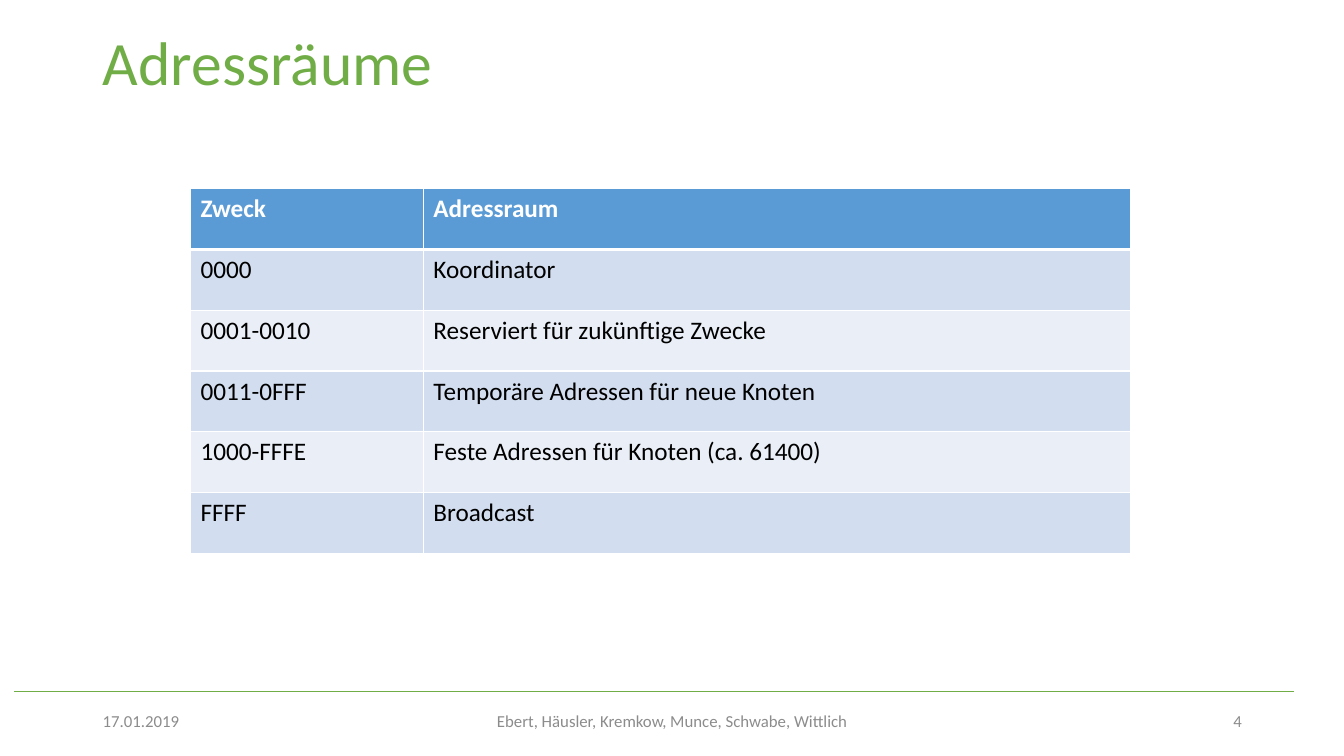
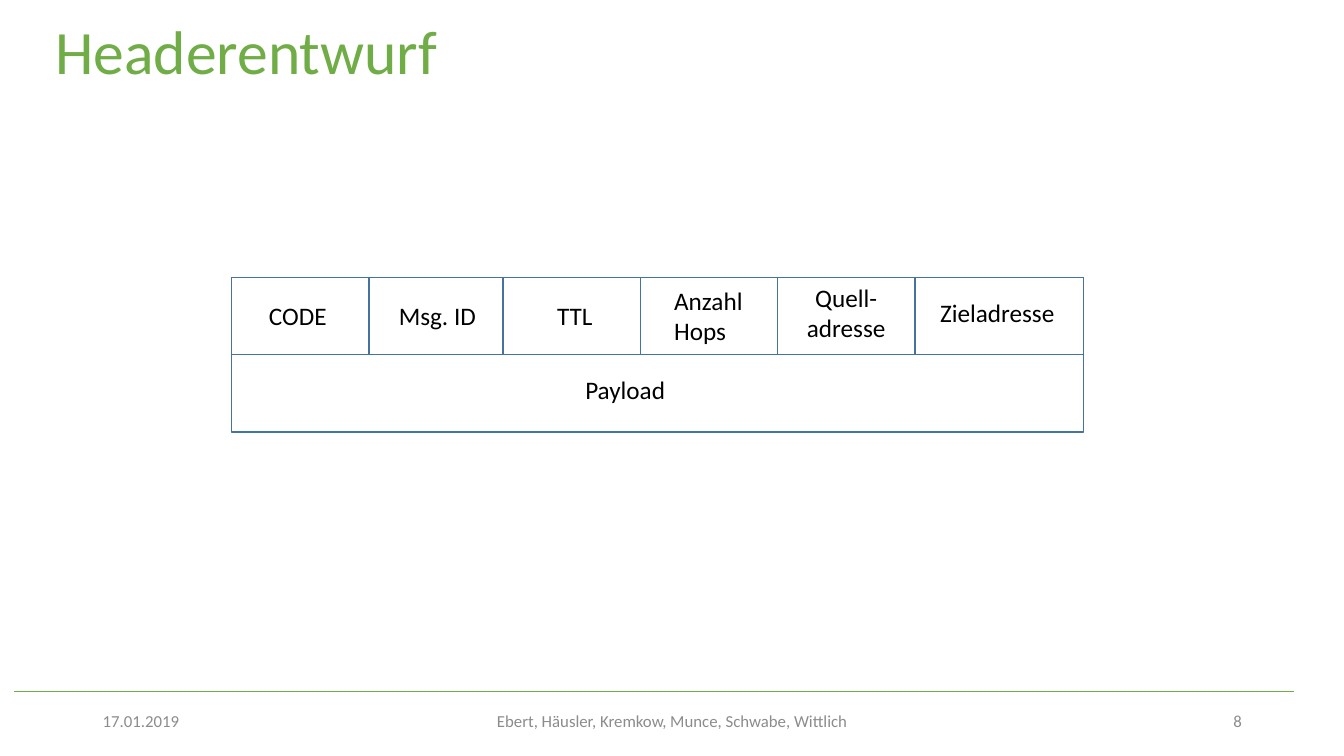
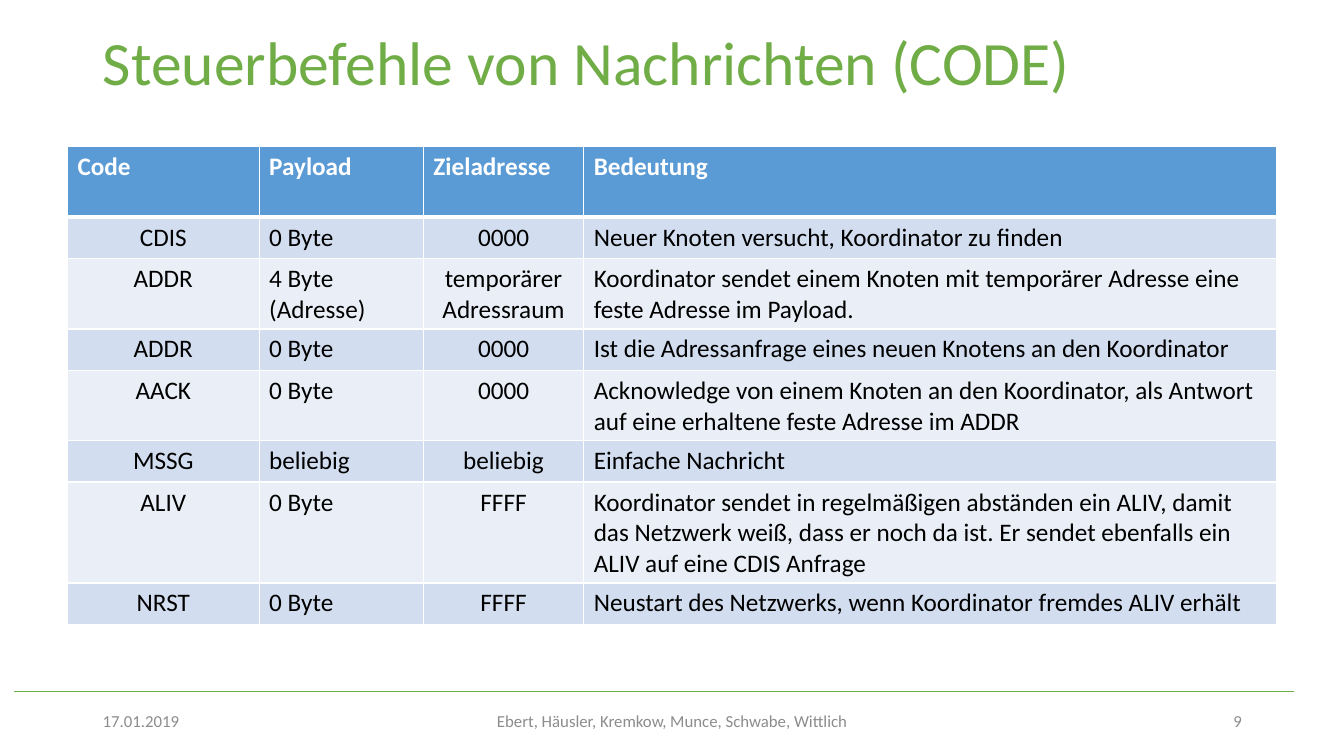
from dataclasses import dataclass
from itertools import accumulate

from lxml.etree import SubElement
from pptx import Presentation
from pptx.dml.color import RGBColor
from pptx.enum.shapes import MSO_CONNECTOR, MSO_SHAPE
from pptx.enum.text import MSO_ANCHOR, MSO_AUTO_SIZE, PP_ALIGN
from pptx.oxml.ns import qn
from pptx.presentation import Presentation as Deck
from pptx.slide import Slide
from pptx.table import _Cell as Cell
from pptx.text.text import TextFrame
from pptx.util import Cm, Pt

FONT = "Calibri"
COLORS = {
    "accent": "70AD47",
    "footer": "8C8C8C",
    "text": "000000",
    "white": "FFFFFF",
    "header": "5B9BD5",
    "odd_row": "D2DEEF",
    "even_row": "EAEFF7",
    "outline": "43739E",
}
LEFT, CENTER, RIGHT = PP_ALIGN.LEFT, PP_ALIGN.CENTER, PP_ALIGN.RIGHT
DATE = "17.01.2019"
AUTHORS = "Ebert, Häusler, Kremkow, Munce, Schwabe, Wittlich"


@dataclass(frozen=True)
class Box:
    left: float
    top: float
    width: float
    height: float

    def lengths(self) -> tuple[Cm, Cm, Cm, Cm]:
        return Cm(self.left), Cm(self.top), Cm(self.width), Cm(self.height)


@dataclass(frozen=True)
class Label:
    text: str
    box: Box
    align: PP_ALIGN = LEFT


@dataclass(frozen=True)
class Column:
    width: float
    align: PP_ALIGN = LEFT


@dataclass(frozen=True)
class TableLayout:
    left: float
    top: float
    header_height: float
    row_height: float
    columns: tuple[Column, ...]


TITLE_BOX = Box(2.34, 0.69, 29.21, 3.68)
HEADER_TITLE_BOX = Box(1.14, 0.41, 29.21, 3.68)

ADDRESS_LAYOUT = TableLayout(4.8, 4.76, 1.53, 1.53, (Column(5.87), Column(17.83)))
ADDRESS_ROWS = (
    ("Zweck", "Adressraum"),
    ("0000", "Koordinator"),
    ("0001-0010", "Reserviert für zukünftige Zwecke"),
    ("0011-0FFF", "Temporäre Adressen für neue Knoten"),
    ("1000-FFFE", "Feste Adressen für Knoten (ca. 61400)"),
    ("FFFF", "Broadcast"),
)

CODE_LAYOUT = TableLayout(
    1.7, 3.69, 1.78, 1.04,
    (Column(4.83, CENTER), Column(4.14), Column(4.04, CENTER), Column(17.45)),
)
CODE_ROWS = (
    ("Code", "Payload", "Zieladresse", "Bedeutung"),
    ("CDIS", "0 Byte", "0000", "Neuer Knoten versucht, Koordinator zu finden"),
    ("ADDR", "4 Byte (Adresse)", "temporärer Adressraum",
     "Koordinator sendet einem Knoten mit temporärer Adresse eine\n"
     "feste Adresse im Payload."),
    ("ADDR", "0 Byte", "0000",
     "Ist die Adressanfrage eines neuen Knotens an den Koordinator"),
    ("AACK", "0 Byte", "0000",
     "Acknowledge von einem Knoten an den Koordinator, als Antwort "
     "auf eine erhaltene feste Adresse im ADDR"),
    ("MSSG", "beliebig", "beliebig", "Einfache Nachricht"),
    ("ALIV", "0 Byte", "FFFF",
     "Koordinator sendet in regelmäßigen abständen ein ALIV, damit "
     "das Netzwerk weiß, dass er noch da ist. Er sendet ebenfalls ein "
     "ALIV auf eine CDIS Anfrage"),
    ("NRST", "0 Byte", "FFFF",
     "Neustart des Netzwerks, wenn Koordinator fremdes ALIV erhält"),
)

PACKET = Box(5.84, 6.99, 21.46, 3.9)
FIELD_HEIGHT = PACKET.height / 2
FIELD_WIDTHS = (3.46, 3.38, 3.46, 3.46, 3.46, 4.24)
PACKET_LABELS = (
    Label("CODE", Box(6.53, 7.44, 1.98, 1.02)),
    Label("Msg. ID", Box(9.8, 7.44, 2.49, 1.02)),
    Label("TTL", Box(13.79, 7.44, 1.42, 1.02)),
    Label("Anzahl\nHops", Box(16.74, 7.06, 2.26, 1.8)),
    Label("Quell-\vadresse", Box(20.07, 6.99, 2.51, 1.8), CENTER),
    Label("Zieladresse", Box(23.44, 7.37, 3.43, 1.02)),
    Label("Payload", Box(14.5, 9.32, 2.54, 1.02)),
)


def rgb(name: str) -> RGBColor:
    return RGBColor.from_string(COLORS[name])


def write(frame: TextFrame, text: str, size: float, color: str,
          align: PP_ALIGN = LEFT, bold: bool = False) -> None:
    frame.text = text
    for paragraph in frame.paragraphs:
        paragraph.alignment = align
        for run in paragraph.runs:
            run.font.name = FONT
            run.font.size = Pt(size)
            run.font.bold = bold
            run.font.color.rgb = rgb(color)


def add_footer(slide: Slide, number: int) -> None:
    rule = slide.shapes.add_connector(
        MSO_CONNECTOR.STRAIGHT, Cm(0.36), Cm(17.42), Cm(32.61), Cm(17.42))
    rule.line.color.rgb = rgb("accent")
    rule.line.width = Pt(0.5)
    SubElement(rule._element.spPr, qn("a:effectLst"))
    for label in (
        Label(DATE, Box(2.34, 17.65, 7.62, 1.02)),
        Label(AUTHORS, Box(11.23, 17.65, 11.43, 1.02), CENTER),
        Label(str(number), Box(23.93, 17.65, 7.62, 1.02), RIGHT),
    ):
        frame = slide.shapes.add_textbox(*label.box.lengths()).text_frame
        frame.word_wrap = True
        frame.vertical_anchor = MSO_ANCHOR.MIDDLE
        write(frame, label.text, 12, "footer", label.align)


def add_slide(deck: Deck, heading: str, number: int, box: Box = TITLE_BOX) -> Slide:
    slide = deck.slides.add_slide(deck.slide_layouts[5])
    title = slide.shapes.title
    title.left, title.top, title.width, title.height = box.lengths()
    frame = title.text_frame
    frame.auto_size = MSO_AUTO_SIZE.NONE
    frame.vertical_anchor = MSO_ANCHOR.TOP
    write(frame, heading, 44, "accent")
    frame.paragraphs[0].line_spacing = 0.9
    add_footer(slide, number)
    return slide


def set_borders(cell: Cell, top: float, bottom: float) -> None:
    properties = cell._tc.get_or_add_tcPr()
    for side, width in (("L", 1), ("R", 1), ("T", top), ("B", bottom)):
        border = SubElement(properties, qn(f"a:ln{side}"), w=str(Pt(width)))
        fill = SubElement(border, qn("a:solidFill"))
        SubElement(fill, qn("a:srgbClr"), val=COLORS["white"])


def add_grid(slide: Slide, layout: TableLayout, rows: tuple[tuple[str, ...], ...]) -> None:
    heights = [layout.header_height] + [layout.row_height] * (len(rows) - 1)
    box = Box(layout.left, layout.top,
              sum(column.width for column in layout.columns), sum(heights))
    table = slide.shapes.add_table(
        len(rows), len(layout.columns), *box.lengths()).table
    for index, column in enumerate(layout.columns):
        table.columns[index].width = Cm(column.width)
    for row_index, (height, texts) in enumerate(zip(heights, rows)):
        table.rows[row_index].height = Cm(height)
        is_header = row_index == 0
        fill = "header" if is_header else "odd_row" if row_index % 2 else "even_row"
        for index, (column, text) in enumerate(zip(layout.columns, texts)):
            cell = table.cell(row_index, index)
            set_borders(cell, 3 if row_index == 1 else 1, 3 if is_header else 1)
            cell.fill.solid()
            cell.fill.fore_color.rgb = rgb(fill)
            write(cell.text_frame, text, 18, "white" if is_header else "text",
                  LEFT if is_header else column.align, is_header)


def add_frame(slide: Slide, box: Box) -> None:
    frame = slide.shapes.add_shape(MSO_SHAPE.RECTANGLE, *box.lengths())
    frame.shadow.inherit = False
    frame.fill.background()
    frame.line.color.rgb = rgb("outline")
    frame.line.width = Pt(1)


def add_packet(slide: Slide) -> None:
    add_frame(slide, PACKET)
    add_frame(slide, Box(PACKET.left, PACKET.top, PACKET.width, FIELD_HEIGHT))
    for left, width in zip(accumulate(FIELD_WIDTHS, initial=PACKET.left), FIELD_WIDTHS):
        add_frame(slide, Box(left, PACKET.top, width, FIELD_HEIGHT))
    for label in PACKET_LABELS:
        frame = slide.shapes.add_textbox(*label.box.lengths()).text_frame
        frame.word_wrap = False
        frame.auto_size = MSO_AUTO_SIZE.SHAPE_TO_FIT_TEXT
        write(frame, label.text, 18, "text", label.align)


def main() -> None:
    deck = Presentation()
    deck.slide_width, deck.slide_height = Cm(33.87), Cm(19.05)
    add_grid(add_slide(deck, "Adressräume", 4), ADDRESS_LAYOUT, ADDRESS_ROWS)
    add_packet(add_slide(deck, "Headerentwurf", 8, HEADER_TITLE_BOX))
    add_grid(add_slide(deck, "Steuerbefehle von Nachrichten (CODE)", 9),
             CODE_LAYOUT, CODE_ROWS)
    deck.save("out.pptx")


if __name__ == "__main__":
    main()
